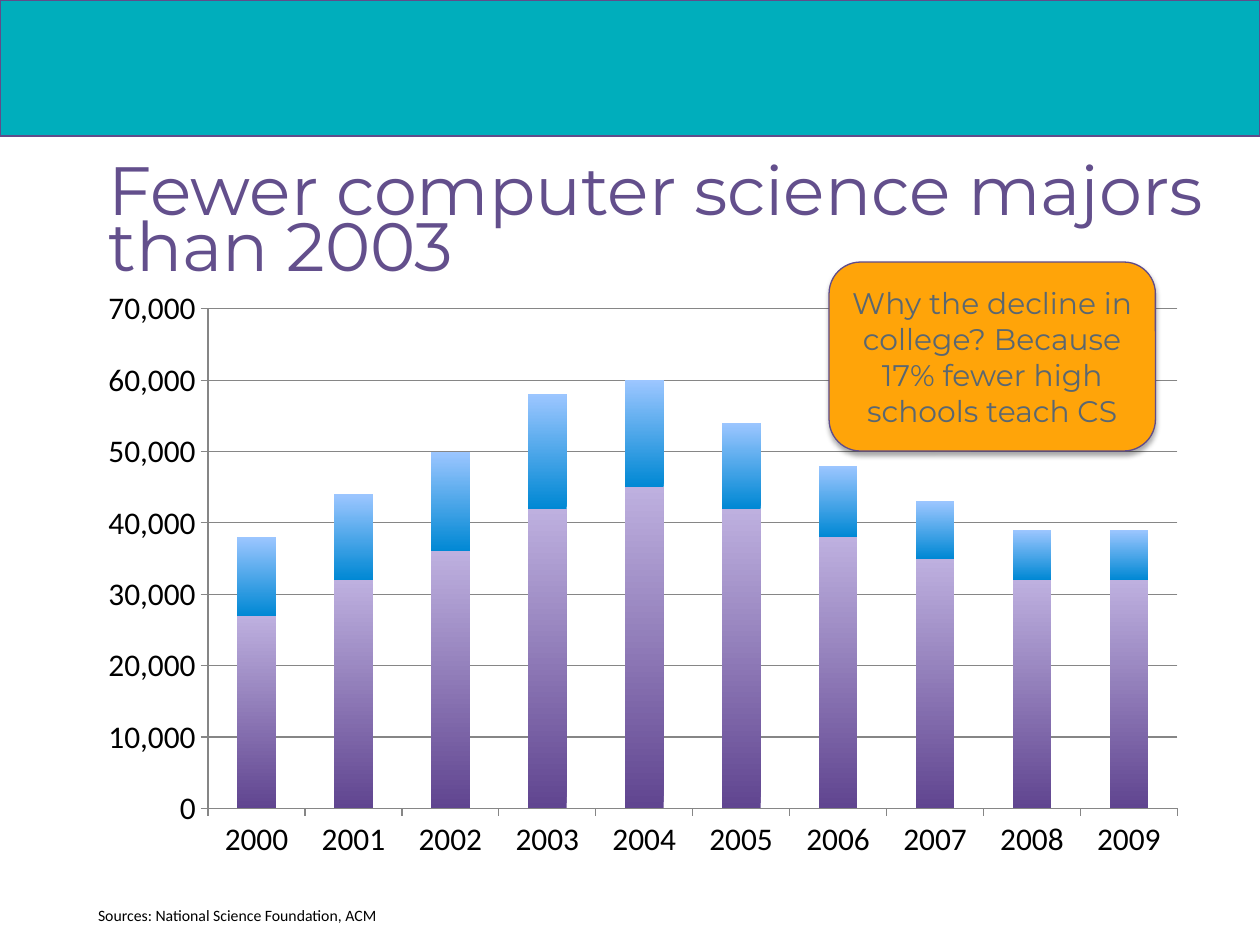
from lxml.etree import SubElement
from pptx import Presentation
from pptx.chart.data import CategoryChartData
from pptx.dml.color import RGBColor
from pptx.enum.chart import XL_CHART_TYPE, XL_TICK_MARK
from pptx.enum.shapes import MSO_SHAPE
from pptx.enum.text import MSO_ANCHOR, MSO_AUTO_SIZE, PP_ALIGN
from pptx.oxml import parse_xml
from pptx.oxml.ns import nsdecls, qn
from pptx.util import Inches, Pt

TEAL = RGBColor(0x00, 0xAE, 0xBC)
OUTLINE = RGBColor(0x60, 0x4C, 0x8A)
PURPLE = RGBColor(0x63, 0x4F, 0x8C)
ORANGE = RGBColor(0xFF, 0xA4, 0x09)
SLATE = RGBColor(0x5A, 0x67, 0x71)
BLACK = RGBColor(0x00, 0x00, 0x00)
GREY = RGBColor(0x86, 0x86, 0x86)
PURPLE_DARK = RGBColor(0x60, 0x45, 0x90)
PURPLE_LIGHT = RGBColor(0xBE, 0xB0, 0xDF)
BLUE_DARK = RGBColor(0x00, 0x88, 0xD4)
BLUE_LIGHT = RGBColor(0x9C, 0xC6, 0xFF)

YEARS = [str(year) for year in range(2000, 2010)]
SERIES = [
    ("Series 1", [27, 32, 36, 42, 45, 42, 38, 35, 32, 32], PURPLE_DARK, PURPLE_LIGHT),
    ("Series 2", [11, 12, 14, 16, 15, 12, 10, 8, 7, 7], BLUE_DARK, BLUE_LIGHT),
]
PLOT_LAYOUT = {"x": 0.09, "y": 0.03, "w": 0.91, "h": 0.84}


def set_values(target, values):
    """Set each named attribute of the target."""
    for name, value in values.items():
        setattr(target, name, value)


def write_text(box, text, font, frame=None, paragraph=None):
    """Write one wrapped paragraph into a shape."""
    set_values(box.text_frame, {"word_wrap": True, **(frame or {})})
    para = box.text_frame.paragraphs[0]
    set_values(para, paragraph or {})
    span = para.add_run()
    span.text = text
    color = font.pop("color")
    set_values(span.font, font)
    span.font.color.rgb = color


def add_text(page, bounds, text, font, frame=None, paragraph=None):
    """Add a text box at the bounds in inches."""
    box = page.shapes.add_textbox(*map(Inches, bounds))
    write_text(box, text, font, frame, paragraph)


def add_panel(page, kind, bounds, fill):
    """Add a filled, outlined shape without a shadow."""
    panel = page.shapes.add_shape(kind, *map(Inches, bounds))
    panel.shadow.inherit = False
    panel.fill.solid()
    panel.fill.fore_color.rgb = fill
    panel.line.color.rgb = OUTLINE
    panel.line.width = Pt(0.75)
    return panel


def add_drop_shadow(panel):
    """Give a panel a soft shadow straight below it."""
    effects = panel._element.spPr.find(qn("a:effectLst"))
    shadow = SubElement(effects, qn("a:outerShdw"), blurRad=str(Pt(3.1)),
                        dist=str(Pt(1.8)), dir="5400000", rotWithShape="0")
    color = SubElement(shadow, qn("a:srgbClr"), val=str(BLACK))
    SubElement(color, qn("a:alpha"), val="35000")


def fill_upward(fill, bottom, top):
    """Fill with a gradient that runs from bottom to top."""
    fill.gradient()
    fill.gradient_angle = 90
    for stop, color, position in zip(fill.gradient_stops, (bottom, top), (0, 1)):
        stop.color.rgb = color
        stop.position = position


def place_plot(chart):
    """Fix the inner plot area by fractions of the chart."""
    plot_area = chart._chartSpace.chart.plotArea
    for old in plot_area.findall(qn("c:layout")):
        plot_area.remove(old)
    modes = "".join(f'<c:{axis}Mode val="edge"/>' for axis in "xy")
    sizes = "".join(f'<c:{name} val="{value}"/>' for name, value in PLOT_LAYOUT.items())
    plot_area.insert(0, parse_xml(
        f'<c:layout {nsdecls("c")}><c:manualLayout><c:layoutTarget val="inner"/>'
        f"{modes}{sizes}</c:manualLayout></c:layout>"))


def add_majors_chart(page, bounds):
    """Add the stacked columns of majors by year."""
    data = CategoryChartData(number_format="#,##0")
    data.categories = YEARS
    for name, thousands, _, _ in SERIES:
        data.add_series(name, [value * 1000 for value in thousands])
    chart = page.shapes.add_chart(
        XL_CHART_TYPE.COLUMN_STACKED, *map(Inches, bounds), data).chart
    set_values(chart, {"has_legend": False, "has_title": False})
    set_values(chart.font, {"name": "Calibri", "size": Pt(18)})
    chart.font.color.rgb = BLACK
    plot = chart.plots[0]
    set_values(plot, {"gap_width": 150, "overlap": 100, "vary_by_categories": False})
    for series, (_, _, bottom, top) in zip(plot.series, SERIES):
        fill_upward(series.format.fill, bottom, top)
    values = chart.value_axis
    set_values(values, {"minimum_scale": 0, "maximum_scale": 70000,
                        "major_unit": 10000, "has_major_gridlines": True})
    set_values(values.tick_labels, {"number_format": "#,##0",
                                    "number_format_is_linked": False})
    for axis in (chart.category_axis, values):
        axis.major_tick_mark = XL_TICK_MARK.OUTSIDE
    for line in (chart.category_axis.format.line, values.format.line,
                 values.major_gridlines.format.line):
        line.color.rgb = GREY
        line.width = Pt(0.75)
    place_plot(chart)


def main():
    """Build and save the slide."""
    deck = Presentation()
    set_values(deck, {"slide_width": Inches(10), "slide_height": Inches(7.5)})
    page = deck.slides.add_slide(deck.slide_layouts[6])
    add_panel(page, MSO_SHAPE.RECTANGLE, (0, 0, 10, 1.08), TEAL)
    add_text(page, (0.86, 1.19, 8.77, 1.25), "Fewer computer science majors than 2003",
             {"name": "Montserrat", "size": Pt(39), "color": PURPLE},
             {"vertical_anchor": MSO_ANCHOR.MIDDLE, "margin_left": 0, "margin_right": 0},
             {"line_spacing": Pt(32.3)})
    add_majors_chart(page, (0.86, 2.3, 8.49, 4.73))
    add_text(page, (0.68, 7.14, 5, 0.25), "Sources: National Science Foundation, ACM",
             {"name": "Calibri", "size": Pt(9), "color": BLACK},
             {"auto_size": MSO_AUTO_SIZE.SHAPE_TO_FIT_TEXT})
    callout = add_panel(page, MSO_SHAPE.ROUNDED_RECTANGLE, (6.58, 2.08, 2.59, 1.5), ORANGE)
    add_drop_shadow(callout)
    write_text(callout, "Why the decline in college? Because 17% fewer high schools teach CS",
               {"name": "Montserrat", "size": Pt(17), "color": SLATE},
               {"vertical_anchor": MSO_ANCHOR.MIDDLE}, {"alignment": PP_ALIGN.CENTER})
    deck.save("out.pptx")


if __name__ == "__main__":
    main()
